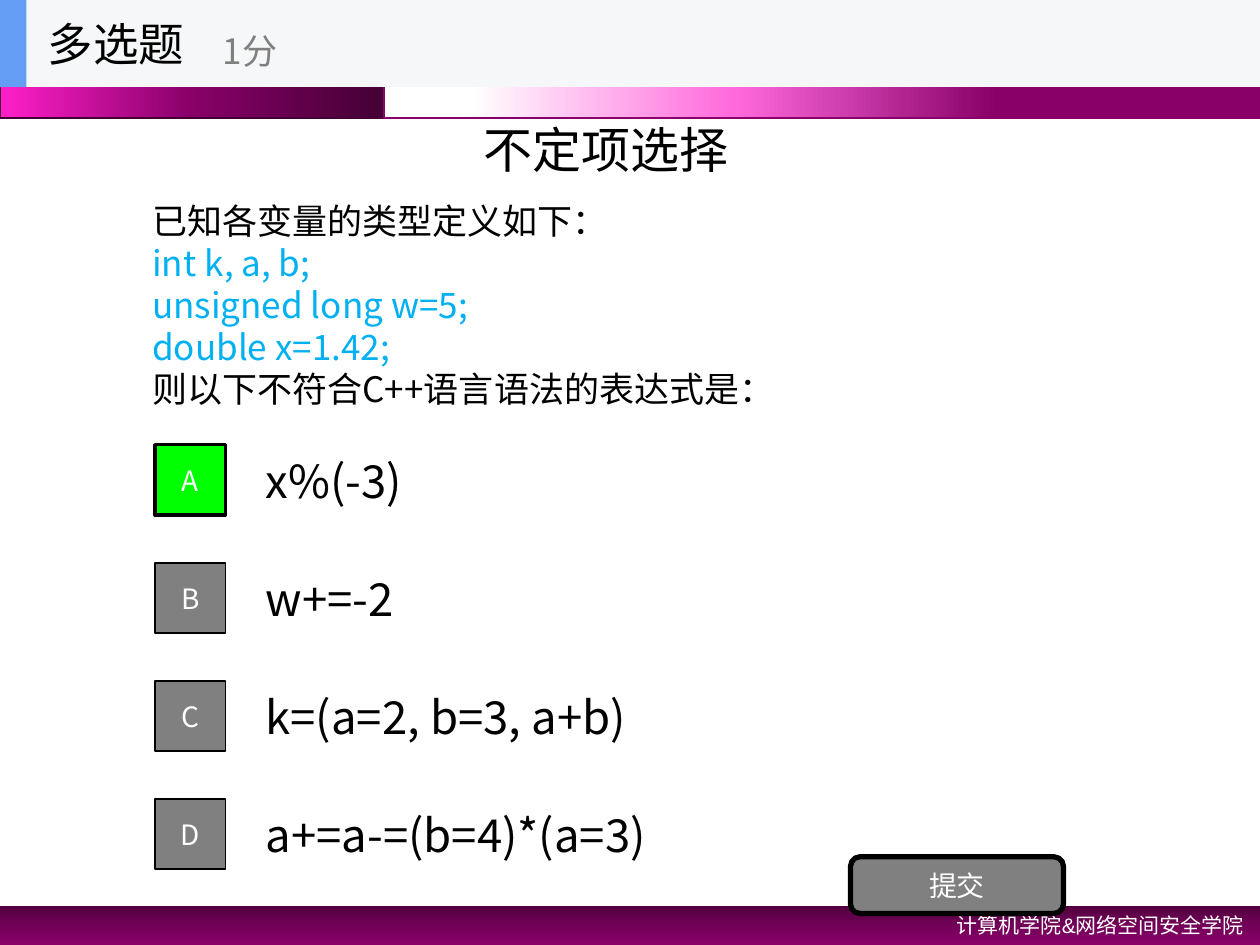
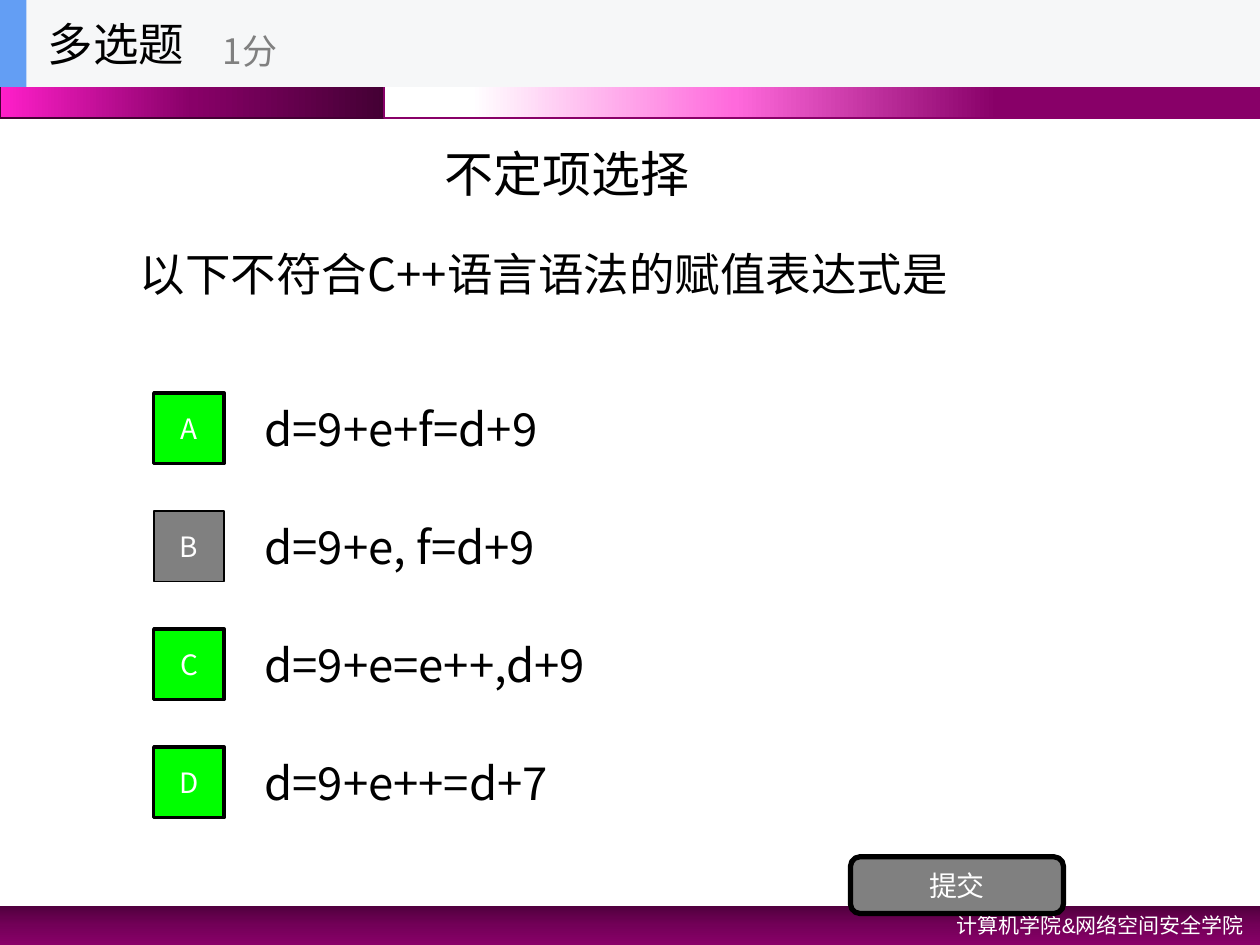
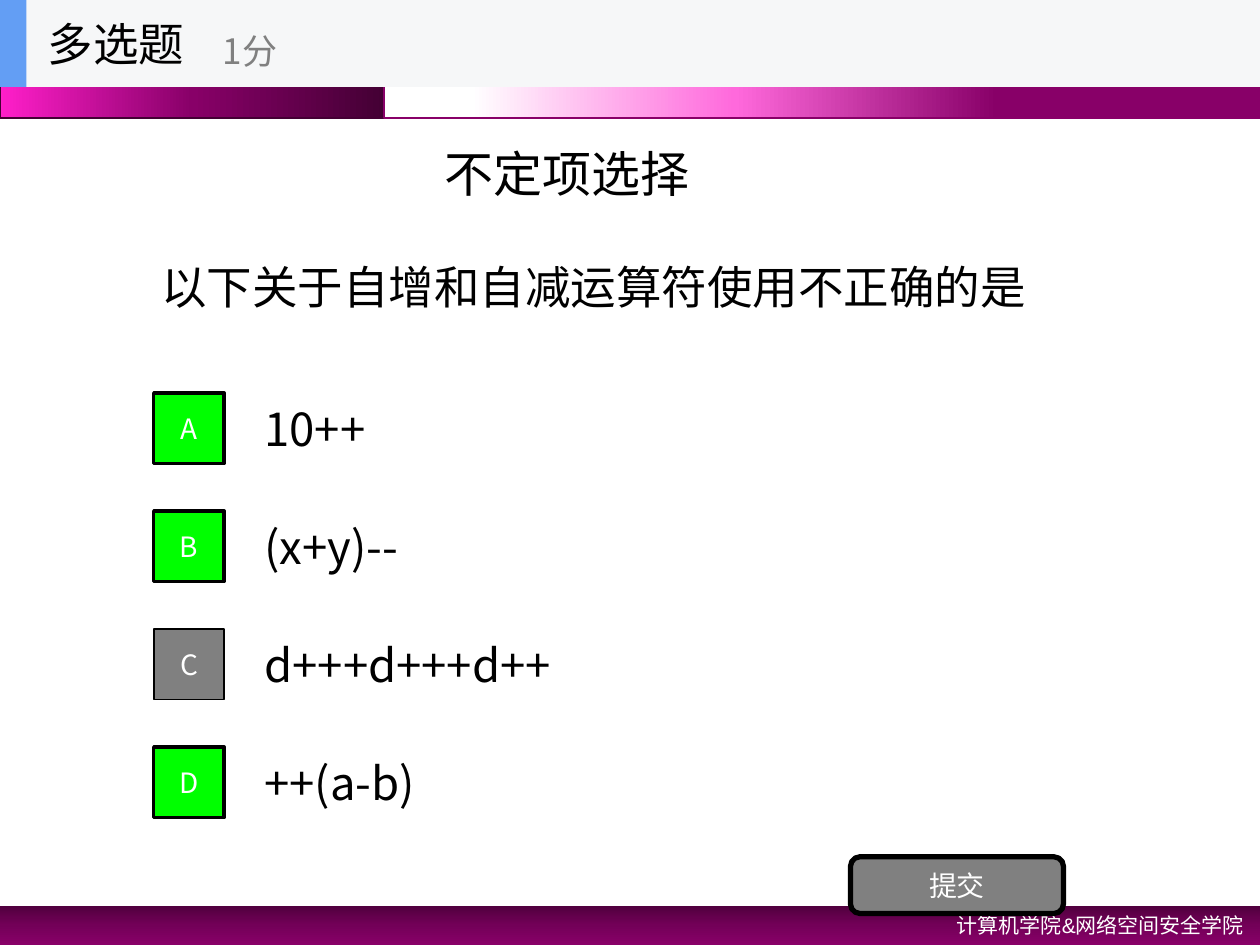
"""Build three multiple-choice quiz slides on C++ expressions."""
from lxml.etree import SubElement
from pptx import Presentation
from pptx.dml.color import RGBColor
from pptx.enum.shapes import MSO_SHAPE as Geo
from pptx.enum.text import MSO_ANCHOR as Anchor, MSO_AUTO_SIZE as Fit, PP_ALIGN as Align
from pptx.oxml.ns import qn
from pptx.util import Inches, Pt

CJK = "Noto Sans CJK SC"
BLACK, WHITE, GRAY, GREEN, CYAN = "000000", "FFFFFF", "808080", "00FF00", "00B0F0"
BANDS = [
    ((0, 7.19, 10, 0.31), 90, [(0, "51003E"), (50, "730058"), (100, "880068")], None),
    ((0, 0, 3.05, 0.94), 180, [(0, "440034"), (50, "880068"), (100, "FF1FCA")], "440034"),
    ((3.05, 0, 6.95, 0.94), 180, [(30, "880068"), (60, "FF69DC"), (90, "FFFFFF")], "880068"),
]
QUIZ = [
    dict(title=(3.74, 0.9), ask=(1.11, 1.25), size=20, left=1.23, top=3.53, right="A",
         lines=[("已知各变量的类型定义如下：", BLACK), ("int k, a, b;", CYAN),
                ("unsigned long w=5;", CYAN), ("double x=1.42;", CYAN),
                ("则以下不符合C++语言语法的表达式是：", BLACK)],
         picks=["x%(-3)", "w+=-2", "k=(a=2, b=3, a+b)", "a+=a-=(b=4)*(a=3)"]),
    dict(title=(3.43, 1.09), ask=(1.01, 1), size=26, left=1.22, top=3.12, right="ACD",
         lines=[("以下不符合C++语言语法的赋值表达式是", BLACK)],
         picks=["d=9+e+f=d+9", "d=9+e, f=d+9", "d=9+e=e++,d+9", "d=9+e++=d+7"]),
    dict(title=(3.43, 1.09), ask=(1.18, 1.1), size=26, left=1.22, top=3.12, right="ABD",
         lines=[("以下关于自增和自减运算符使用不正确的是", BLACK)],
         picks=["10++", "(x+y)--", "d+++d+++d++", "++(a-b)"]),
]


def write(shape, *lines, size=16, font=CJK, color=WHITE, align=Align.LEFT, anchor=Anchor.MIDDLE):
    """Fill a shape with lines, each a string or a (string, colour) pair."""
    frame = shape.text_frame
    frame.word_wrap = True
    frame.auto_size = Fit.NONE
    frame.vertical_anchor = anchor
    for i, line in enumerate(lines):
        text, tint = (line, color) if isinstance(line, str) else line
        para = frame.add_paragraph() if i else frame.paragraphs[0]
        para.alignment = align
        run = para.add_run()
        run.text = text
        run.font.size = Pt(size)
        run.font.name = font
        run.font.color.rgb = RGBColor.from_string(tint)
        SubElement(run.font._element, qn("a:ea"), typeface=CJK)


def draw(shapes, box, fill=None, line=None, width=1, geo=Geo.RECTANGLE):
    """Add a text box, or a preset shape when a fill or line is given."""
    box = [Inches(n) for n in box]
    if not (fill or line):
        return shapes.add_textbox(*box)
    shape = shapes.add_shape(geo, *box)
    shape.shadow.inherit = False
    if fill:
        shape.fill.solid()
        shape.fill.fore_color.rgb = RGBColor.from_string(fill)
    if line:
        shape.line.color.rgb = RGBColor.from_string(line)
        shape.line.width = Pt(width)
    else:
        shape.line.fill.background()
    return shape


deck = Presentation()
deck.slide_width, deck.slide_height = Inches(10), Inches(7.5)

for quiz in QUIZ:
    slide = deck.slides.add_slide(deck.slide_layouts[5])
    shapes = slide.shapes

    title = shapes.title
    title.left, title.top = [Inches(n) for n in quiz["title"]]
    title.width, title.height = Inches(3.86), Inches(0.57)
    write(title, "不定项选择", size=28, font="Arial", color=BLACK, anchor=Anchor.TOP)

    for box, angle, stops, edge in BANDS:
        band = draw(shapes, box, fill=WHITE, line=edge)
        band.fill.gradient()
        grad = band._element.spPr.find(qn("a:gradFill"))
        grad.find(qn("a:lin")).set("ang", str(angle * 60000))
        ramp = grad.find(qn("a:gsLst"))
        for old in list(ramp):
            ramp.remove(old)
        for pos, tint in stops:
            stop = SubElement(ramp, qn("a:gs"), pos=str(pos * 1000))
            SubElement(stop, qn("a:srgbClr"), val=tint)
    write(draw(shapes, (6.42, 7.19, 3.55, 0.3)), "计算机学院&网络空间安全学院",
          size=12, font="Arial", align=Align.RIGHT, anchor=Anchor.TOP)

    write(draw(shapes, (*quiz["ask"], 8, 2.34)), *quiz["lines"], size=quiz["size"], color=BLACK)

    for i, (mark, pick) in enumerate(zip("ABCD", quiz["picks"])):
        left, top = quiz["left"], quiz["top"] + i * 0.9367
        hit = mark in quiz["right"]
        write(draw(shapes, (left + 0.78, top - 0.07, 7, 0.7)), pick, size=26, color=BLACK)
        key = draw(shapes, (left, top, 0.56, 0.56), fill=GREEN if hit else GRAY,
                   line=BLACK, width=2 if hit else 1)
        write(key, mark, align=Align.CENTER)

    send = draw(shapes, (6.75, 6.8, 1.69, 0.45), fill=GRAY, line=BLACK, width=3,
                geo=Geo.ROUNDED_RECTANGLE)
    write(send, "提交", align=Align.CENTER)

    head = shapes.add_group_shape().shapes
    draw(head, (0, 0, 10, 0.69), fill="F6F7F8")
    draw(head, (0, 0, 0.21, 0.69), fill="639EF4")
    write(draw(head, (0.28, 0, 2.08, 0.69)), "多选题", size=26, color=BLACK)
    write(draw(head, (1.67, 0.12, 2.5, 0.56)), "1分", size=20, color=GRAY)

deck.save("out.pptx")
